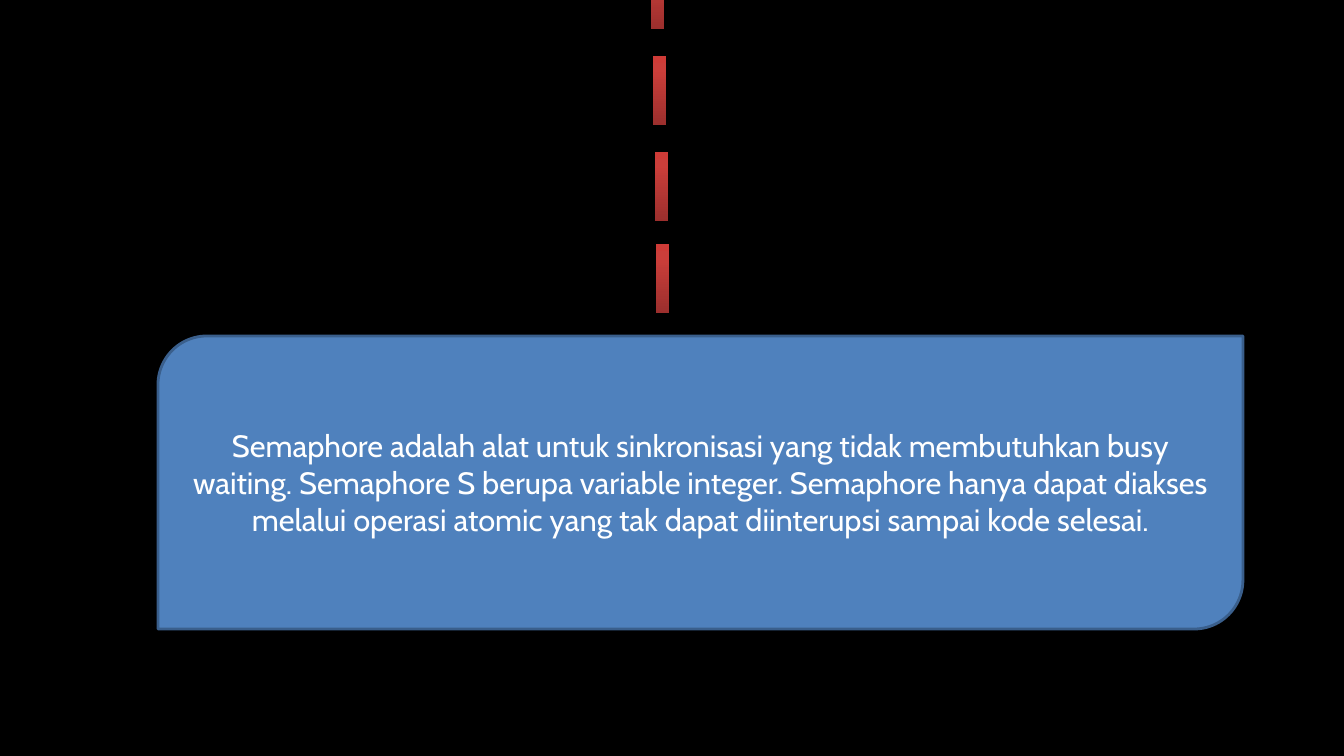
from lxml import etree
from pptx import Presentation
from pptx.dml.color import RGBColor
from pptx.enum.shapes import MSO_SHAPE as SHAPE
from pptx.enum.text import MSO_ANCHOR as ANCHOR, PP_ALIGN as ALIGN
from pptx.oxml.ns import qn
from pptx.util import Emu, Pt

PX = 914400 / 100.8
BAR_STOPS = ((0, "9C2F2D"), (80, "CB3E3A"), (100, "CE3B37"))


def px(n):
    return Emu(round(n * PX))


def rgb(value):
    return RGBColor.from_string(value)


class Deck:
    font = {"name": "Cabin", "size": Pt(22)}
    text_color = "FFFFFF"

    def __init__(self, width, height, background):
        self.prs = Presentation()
        self.prs.slide_width, self.prs.slide_height = px(width), px(height)
        self.s = self.prs.slides.add_slide(self.prs.slide_layouts[6])
        fill = self.s.background.fill
        fill.solid()
        fill.fore_color.rgb = rgb(background)

    def shape(self, kind, x, y, w, h):
        sp = self.s.shapes.add_shape(kind, px(x), px(y), px(w), px(h))
        sp.shadow.inherit = False
        return sp

    def panel(self, x, y, w, h, fill, line, paragraphs):
        sp = self.shape(SHAPE.ROUND_2_DIAG_RECTANGLE, x, y, w, h)
        sp.fill.solid()
        sp.fill.fore_color.rgb = rgb(fill)
        sp.line.color.rgb = rgb(line)
        sp.line.width = Pt(2)
        tf = sp.text_frame
        tf.word_wrap = True
        tf.vertical_anchor = ANCHOR.MIDDLE
        for i, text in enumerate(paragraphs):
            p = tf.add_paragraph() if i else tf.paragraphs[0]
            p.alignment = ALIGN.CENTER
            r = p.add_run()
            r.text = text
            for name, value in self.font.items():
                setattr(r.font, name, value)
            r.font.color.rgb = rgb(self.text_color)

    def bar(self, x, y, w, h, stops):
        sp = self.shape(SHAPE.RECTANGLE, x, y, w, h)
        sp.line.fill.background()
        sp.fill.gradient()
        sp.fill.gradient_angle = 90
        # Replace the preset gradient stops
        gs_list = next(sp._element.spPr.iter(qn("a:gsLst")))
        for gs in list(gs_list):
            gs_list.remove(gs)
        for percent, color in stops:
            gs = etree.SubElement(gs_list, qn("a:gs"), pos=str(percent * 1000))
            etree.SubElement(gs, qn("a:srgbClr"), val=color)


def main():
    deck = Deck(1344, 756, "000000")

    # Definition panel
    deck.panel(158, 336, 1085, 293, "4F81BD", "3A5F8C", (
        "Semaphore adalah alat untuk sinkronisasi yang tidak membutuhkan busy",
        "waiting. Semaphore S berupa variable integer. Semaphore hanya dapat "
        "diakses melalui operasi atomic yang tak dapat diinterupsi sampai "
        "kode selesai.",
    ))

    # Dashed trail leading down to the panel
    for x, y in ((651, -40), (653, 56), (655, 152), (656, 244)):
        deck.bar(x, y, 13, 69, BAR_STOPS)

    deck.prs.save("out.pptx")


if __name__ == "__main__":
    main()
